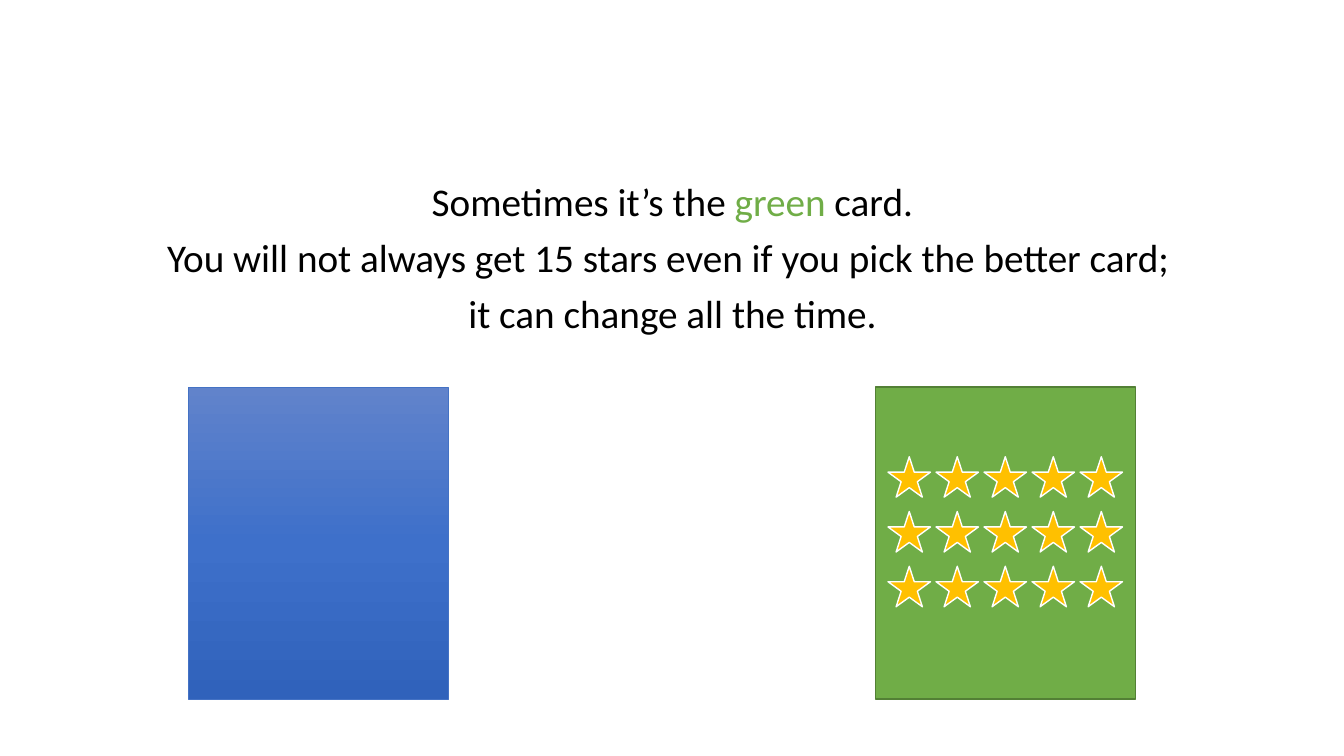
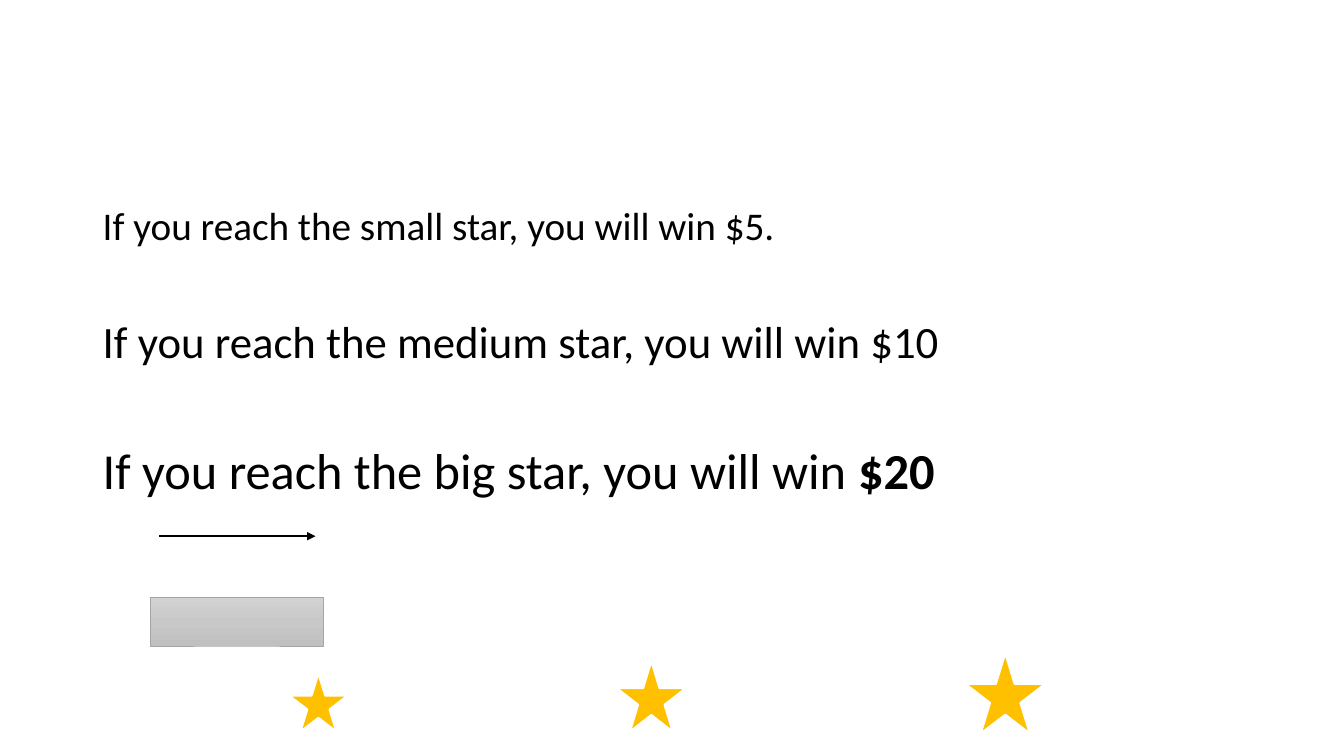
from copy import deepcopy

from lxml import etree
from pptx import Presentation
from pptx import util as u
from pptx.dml.color import RGBColor
from pptx.enum import shapes, text
from pptx.oxml.ns import qn

# Content: paragraphs are lists of (words, colour, bold) runs
CARD_LINES = [
    [("Sometimes it’s the ", "black", False), ("green ", "green", False),
     ("card.", "black", False)],
    [("You will not always get 15 stars even if you pick the better card; ",
      "black", False)],
    [("it can change all the time.", "black", False)],
]
PRIZE_LINES = [
    [("If you reach the small star, you will win $5.", "black", False)],
    [("If you reach the medium star, you will win $10", "black", False)],
    [("If you reach the big star, you will win ", "black", False),
     ("$20", "black", True)],
]
PRIZE_SIZES = [28, 32, 36]

# Shared style
COLOURS = {
    "black": "000000", "white": "FFFFFF", "gold": "FFC000",
    "green": "70AD47", "green edge": "538035",
    "blue edge": "4472C4", "grey edge": "A5A5A5",
}
BLUE_FADE = ["6183CB", "3E70CA", "3062BB"]
GREY_FADE = ["D2D2D2", "C8C8C8", "C0C0C0"]
FONT = "Calibri"
BODY_LEFT, BODY_WIDTH, BODY_HEIGHT = 2.34, 29.21, 12.09

# Layout in centimetres
CARD_TOP, CARD_WIDTH, CARD_HEIGHT = 9.75, 6.55, 7.87
BLUE_LEFT, GREEN_LEFT = 4.75, 22.07
STAR_ROWS, STAR_COLUMNS = 3, 5
STAR_LEFT, STAR_TOP, STAR_WIDTH, STAR_HEIGHT = 22.38, 11.51, 1.07, 1.02
STAR_STEP_X, STAR_STEP_Y = 1.21, 1.38
PRIZE_STARS = [(7.29, 16.97, 1.47, 1.47), (15.54, 16.66, 1.75, 1.78),
               (24.33, 16.46, 2.01, 2.03)]
RUNNER_BAR = (3.78, 15.06, 4.37, 1.22)
ARROW_START, ARROW_END, ARROW_Y = 4.01, 7.95, 13.51


def colour(name):
    return RGBColor.from_string(COLOURS[name])


def add_body(slide, top, lines, sizes, gaps, alignment):
    box = slide.shapes.add_textbox(u.Cm(BODY_LEFT), u.Cm(top),
                                   u.Cm(BODY_WIDTH), u.Cm(BODY_HEIGHT))
    frame = box.text_frame
    frame.word_wrap = True
    for index, (runs, size, gap) in enumerate(zip(lines, sizes, gaps)):
        paragraph = frame.add_paragraph() if index else frame.paragraphs[0]
        paragraph.alignment = alignment
        paragraph.line_spacing = 0.9
        paragraph.space_before = u.Pt(gap)
        for words, colour_name, bold in runs:
            run = paragraph.add_run()
            run.text = words
            run.font.name = FONT
            run.font.size = u.Pt(size)
            run.font.bold = bold
            run.font.color.rgb = colour(colour_name)


def fade(shape, hexes):
    """Fill from top to bottom with three evenly spaced colours."""
    shape.fill.gradient()
    shape.fill.gradient_angle = 270
    stop_list = shape.element.spPr.find(".//" + qn("a:gsLst"))
    stop_list.insert(1, deepcopy(stop_list[0]))
    for index, (stop, value) in enumerate(zip(shape.fill.gradient_stops, hexes)):
        stop.color.rgb = RGBColor.from_string(value)
        stop.position = index / 2


def add_figure(slide, kind, place, fill, edge, edge_width):
    shape = slide.shapes.add_shape(kind, *(u.Cm(value) for value in place))
    shape.shadow.inherit = False
    if isinstance(fill, list):
        fade(shape, fill)
    else:
        shape.fill.solid()
        shape.fill.fore_color.rgb = colour(fill)
    shape.line.color.rgb = colour(edge)
    shape.line.width = u.Pt(edge_width)


def add_star(slide, place, edge_width):
    add_figure(slide, shapes.MSO_SHAPE.STAR_5_POINT, place, "gold", "white",
               edge_width)


def add_block(slide, place, fill, edge, edge_width):
    add_figure(slide, shapes.MSO_SHAPE.RECTANGLE, place, fill, edge, edge_width)


def add_arrow(slide, start, end, y):
    arrow = slide.shapes.add_connector(shapes.MSO_CONNECTOR.STRAIGHT, u.Cm(start),
                                       u.Cm(y), u.Cm(end), u.Cm(y))
    arrow.line.color.rgb = colour("black")
    arrow.line.width = u.Pt(1.5)
    etree.SubElement(arrow.line._get_or_add_ln(), qn("a:tailEnd"), type="triangle")
    etree.SubElement(arrow.element.spPr, qn("a:effectLst"))


presentation = Presentation()
presentation.slide_width = u.Cm(33.87)
presentation.slide_height = u.Cm(19.05)
blank = presentation.slide_layouts[6]

# Slide 1: two cards, the green one with its grid of stars
cards = presentation.slides.add_slide(blank)
add_body(cards, 4.47, CARD_LINES, [28] * 3, [10] * 3, text.PP_ALIGN.CENTER)
add_block(cards, (BLUE_LEFT, CARD_TOP, CARD_WIDTH, CARD_HEIGHT),
          BLUE_FADE, "blue edge", 0.5)
add_block(cards, (GREEN_LEFT, CARD_TOP, CARD_WIDTH, CARD_HEIGHT),
          "green", "green edge", 1)
for row in range(STAR_ROWS):
    for column in range(STAR_COLUMNS):
        add_star(cards, (STAR_LEFT + column * STAR_STEP_X,
                         STAR_TOP + row * STAR_STEP_Y,
                         STAR_WIDTH, STAR_HEIGHT), 1)

# Slide 2: prizes, each line one empty line below the one before
prizes = presentation.slides.add_slide(blank)
prize_gaps = [10] + [20 + 1.1 * size for size in PRIZE_SIZES[:-1]]
add_body(prizes, 5.08, PRIZE_LINES, PRIZE_SIZES, prize_gaps, text.PP_ALIGN.LEFT)
add_block(prizes, RUNNER_BAR, GREY_FADE, "grey edge", 0.5)
for place in PRIZE_STARS:
    add_star(prizes, place, 1.5)
add_arrow(prizes, ARROW_START, ARROW_END, ARROW_Y)

presentation.save("out.pptx")
